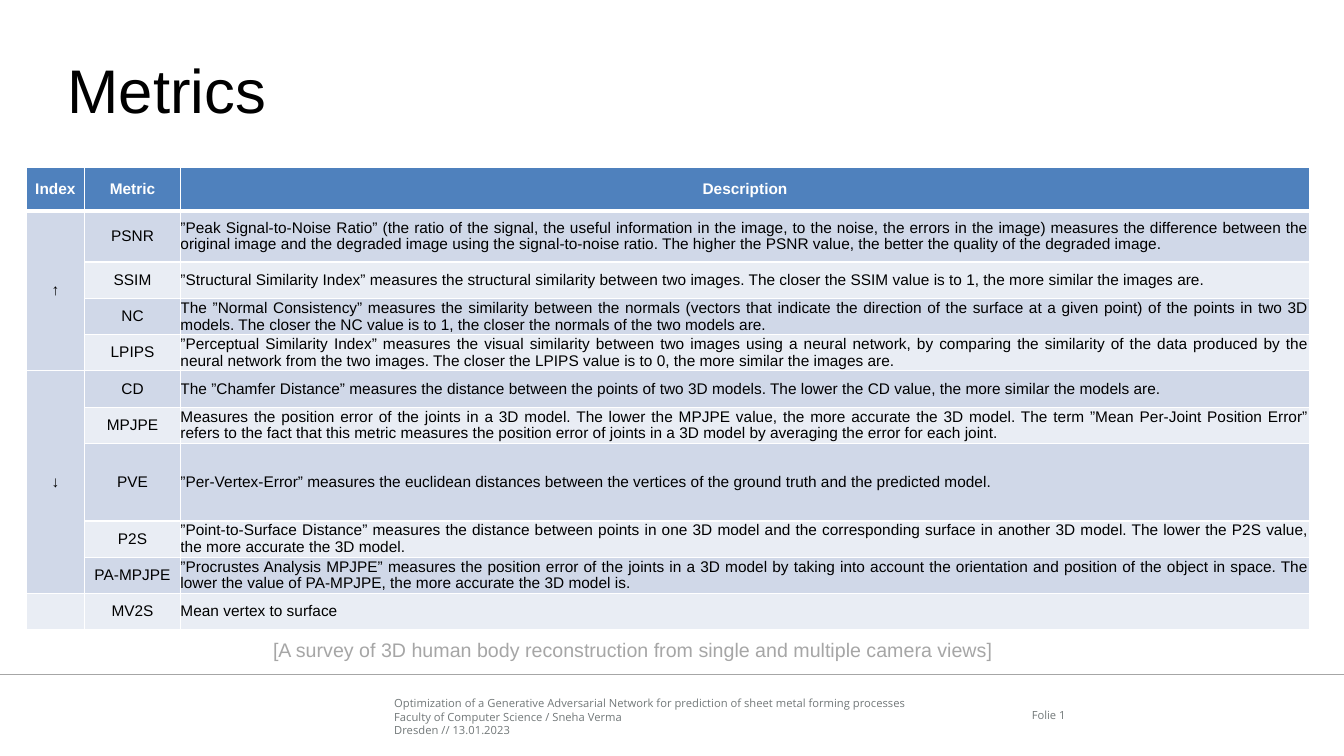
from pptx import Presentation
from pptx.dml.color import RGBColor
from pptx.enum.shapes import MSO_CONNECTOR
from pptx.enum.text import MSO_ANCHOR, PP_ALIGN
from pptx.oxml.ns import qn
from pptx.util import Inches, Pt
from lxml import etree

LEFT, CENTER, RIGHT, JUSTIFY = (
    PP_ALIGN.LEFT, PP_ALIGN.CENTER, PP_ALIGN.RIGHT, PP_ALIGN.JUSTIFY)
TOP, MIDDLE, BOTTOM = MSO_ANCHOR.TOP, MSO_ANCHOR.MIDDLE, MSO_ANCHOR.BOTTOM
BLACK, WHITE, GREY, FOOTER_GREY = "000000", "FFFFFF", "A6A6A6", "727879"
HEADER_FILL, BAND_FILLS = "4F81BD", ("D0D8E8", "E9EDF4")

# Content
TITLE = "Metrics"
HEADERS = ("Index", "Metric", "Description")
GROUPS = [
    ("↑", [
        ("PSNR", "”Peak Signal-to-Noise Ratio” (the ratio of the signal, the useful information in the "
         "image, to the noise, the errors in the image) measures the difference between the original "
         "image and the degraded image using the signal-to-noise ratio. The higher the PSNR value, "
         "the better the quality of the degraded image."),
        ("SSIM", "”Structural Similarity Index” measures the structural similarity between two images. "
         "The closer the SSIM value is to 1, the more similar the images are."),
        ("NC", "The ”Normal Consistency” measures the similarity between the normals (vectors that "
         "indicate the direction of the surface at a given point) of the points in two 3D models. "
         "The closer the NC value is to 1, the closer the normals of the two models are."),
        ("LPIPS", "”Perceptual Similarity Index” measures the visual similarity between two images "
         "using a neural network, by comparing the similarity of the data produced by the neural "
         "network from the two images. The closer the LPIPS value is to 0, the more similar the "
         "images are."),
    ]),
    ("↓", [
        ("CD", "The ”Chamfer Distance” measures the distance between the points of two 3D models. "
         "The lower the CD value, the more similar the models are."),
        ("MPJPE", "Measures the position error of the joints in a 3D model. The lower the MPJPE value, "
         "the more accurate the 3D model. The term ”Mean Per-Joint Position Error” refers to the fact "
         "that this metric measures the position error of joints in a 3D model by averaging the error "
         "for each joint."),
        ("PVE", "”Per-Vertex-Error” measures the euclidean distances between the vertices of the "
         "ground truth and the predicted model."),
        ("P2S", "”Point-to-Surface Distance” measures the distance between points in one 3D model and "
         "the corresponding surface in another 3D model. The lower the P2S value, the more accurate "
         "the 3D model."),
        ("PA-MPJPE", "”Procrustes Analysis MPJPE” measures the position error of the joints in a 3D "
         "model by taking into account the orientation and position of the object in space. The lower "
         "the value of PA-MPJPE, the more accurate the 3D model is."),
    ]),
    ("", [("MV2S", "Mean vertex to surface")]),
]
CAPTION = "[A survey of 3D human body reconstruction from single and multiple camera views]"
FOOTER = [
    "Optimization of a Generative Adversarial Network for prediction of sheet metal forming processes",
    "Faculty of Computer Science / Sneha Verma",
    "Dresden // 13.01.2023",
]
COLUMN_WIDTHS = (0.58, 0.95, 11.2)
ROW_HEIGHT, SPECIAL_HEIGHTS = 0.36, {"Metric": 0.43, "PSNR": 0.51, "PVE": 0.77}
CELL_SPACING = {"line_spacing": Pt(12), "space_after": Pt(6)}
NO_MARGINS = dict.fromkeys(("margin_left", "margin_top", "margin_right", "margin_bottom"), 0)


def color(value):
    return RGBColor.from_string(value)


def apply(target, values):
    for name, value in values.items():
        setattr(target, name, value)


def write(frame, lines, size, hex_color, font="Arial", bold=False, **paragraph_format):
    for index, line in enumerate(lines):
        paragraph = frame.add_paragraph() if index else frame.paragraphs[0]
        apply(paragraph, paragraph_format)
        run = paragraph.add_run()
        run.text = line
        apply(run.font, {"size": Pt(size), "name": font, "bold": bold})
        run.font.color.rgb = color(hex_color)


def add_text(box, lines, size, hex_color, font="Arial", anchor=TOP, frame_format=None, alignment=LEFT):
    frame = slide.shapes.add_textbox(*map(Inches, box)).text_frame
    apply(frame, {"word_wrap": True, "vertical_anchor": anchor, **(frame_format or {})})
    write(frame, lines, size, hex_color, font, alignment=alignment)


def set_borders(cell, bottom_width):
    properties = cell._tc.get_or_add_tcPr()
    for index, (side, width) in enumerate(
            (("lnL", 1), ("lnR", 1), ("lnT", 1), ("lnB", bottom_width))):
        line = etree.Element(qn(f"a:{side}"), w=str(Pt(width)))
        fill = etree.SubElement(line, qn("a:solidFill"))
        etree.SubElement(fill, qn("a:srgbClr"), val=WHITE)
        properties.insert(index, line)


def format_cell(cell, text, fill, alignment, header=False):
    apply(cell, {"vertical_anchor": MIDDLE, **NO_MARGINS})
    cell.fill.solid()
    cell.fill.fore_color.rgb = color(fill)
    set_borders(cell, 3 if header else 1)
    if text:
        write(cell.text_frame, [text], 11, WHITE if header else BLACK,
              bold=header, alignment=alignment, **CELL_SPACING)


presentation = Presentation()
presentation.slide_width, presentation.slide_height = Inches(13.33), Inches(7.5)
slide = presentation.slides.add_slide(presentation.slide_layouts[5])

# Title
title = slide.shapes.title
apply(title, dict(zip(("left", "top", "width", "height"), map(Inches, (0.67, 0.3, 12, 1.25)))))
apply(title.text_frame, {"vertical_anchor": MIDDLE, "word_wrap": True, **NO_MARGINS})
write(title.text_frame, [TITLE], 44, BLACK, alignment=LEFT, line_spacing=0.9)

# Metrics table: the index shows only in the first row of its group
rows = [HEADERS] + [
    (index if position == 0 else "", metric, description)
    for index, metrics in GROUPS
    for position, (metric, description) in enumerate(metrics)]
heights = [SPECIAL_HEIGHTS.get(metric, ROW_HEIGHT) for _, metric, _ in rows]
table = slide.shapes.add_table(
    len(rows), len(HEADERS), Inches(0.26), Inches(1.66),
    Inches(sum(COLUMN_WIDTHS)), Inches(sum(heights))).table
for column, width in zip(table.columns, COLUMN_WIDTHS):
    column.width = Inches(width)
for row_number, (values, height) in enumerate(zip(rows, heights)):
    table.rows[row_number].height = Inches(height)
    header = row_number == 0
    fill = HEADER_FILL if header else BAND_FILLS[(row_number - 1) % 2]
    for column_number, text in enumerate(values):
        alignment = JUSTIFY if column_number == 2 and not header else CENTER
        format_cell(table.cell(row_number, column_number), text, fill, alignment, header)
first_row = 1
for _, metrics in GROUPS:
    last_row = first_row + len(metrics) - 1
    if last_row > first_row:
        table.cell(first_row, 0).merge(table.cell(last_row, 0))
    first_row = last_row + 1

# Caption
add_text((2.61, 6.28, 7.56, 0.34), [CAPTION], 14, GREY)

# Footer
rule = slide.shapes.add_connector(
    MSO_CONNECTOR.STRAIGHT, 0, Inches(6.69), presentation.slide_width, Inches(6.69))
rule.line.color.rgb = color(GREY)
rule.line.width = Pt(1)
etree.SubElement(rule._element.spPr, qn("a:effectLst"))
add_text((3.91, 6.91, 5.67, 0.4), FOOTER, 8, FOOTER_GREY, "Open Sans", BOTTOM, NO_MARGINS)
add_text((9.8, 7, 0.77, 0.18), ["Folie 1"], 8, FOOTER_GREY, "Open Sans", MIDDLE, NO_MARGINS, RIGHT)

presentation.save("out.pptx")
